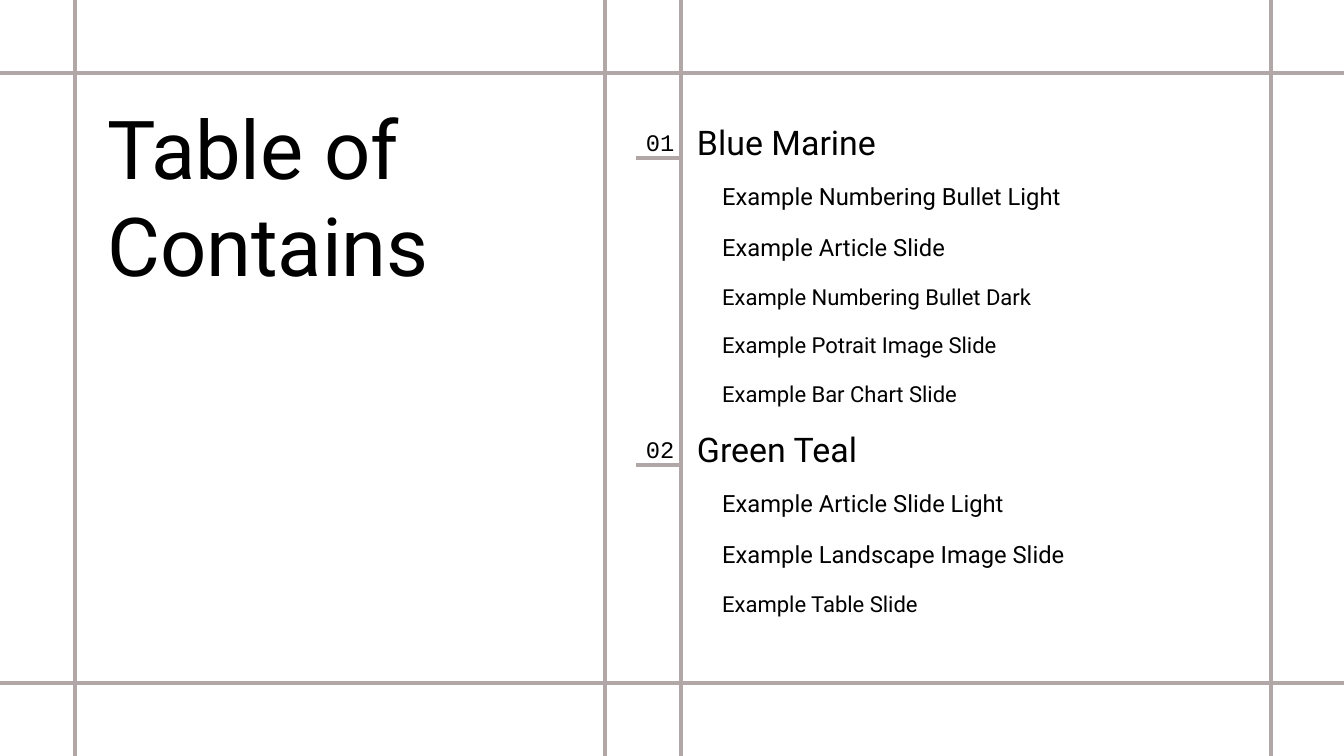
from dataclasses import dataclass

from pptx import Presentation
from pptx.dml.color import RGBColor as RGB
from pptx.enum.shapes import MSO_CONNECTOR as CONN
from pptx.enum.text import MSO_ANCHOR as ANCHOR, MSO_AUTO_SIZE as AUTOSIZE, PP_ALIGN as ALIGN
from pptx.oxml.xmlchemy import OxmlElement
from pptx.util import Pt

SCALE = 7495
WIDTH, HEIGHT = 1344, 756
RULES_X = (75, 1271, 681, 605)
RULES_Y = (73, 683)
SECTIONS = (
    (116, "01", "Blue Marine", (
        "Example Numbering Bullet Light",
        "Example Article Slide",
        "Example Numbering Bullet Dark",
        "Example Potrait Image Slide",
        "Example Bar Chart Slide",
    )),
    (423, "02", "Green Teal", (
        "Example Article Slide Light",
        "Example Landscape Image Slide",
        "Example Table Slide",
    )),
)


@dataclass(frozen=True)
class Theme:
    ink: RGB = RGB(0, 0, 0)
    rule: RGB = RGB(0xB1, 0xA7, 0xA6)
    paper: RGB = RGB(255, 255, 255)
    sans: str = "Roboto"
    mono: str = "Courier New"
    title: int = 48
    heading: int = 20
    item: int = 14
    small_item: int = 13
    item_gap: int = 13
    large_items: int = 2


class Deck:
    def __init__(self, theme):
        self.theme = theme
        self.prs = Presentation()
        self.prs.slide_width = WIDTH * SCALE
        self.prs.slide_height = HEIGHT * SCALE
        self.s = self.prs.slides.add_slide(self.prs.slide_layouts.get_by_name("Two Content"))
        self.s.background.fill.solid()
        self.s.background.fill.fore_color.rgb = theme.paper
        self.bodies = [ph for ph in self.s.placeholders if ph.placeholder_format.idx in (1, 2)]

    def rule(self, x1, y1, x2, y2):
        c = self.s.shapes.add_connector(CONN.STRAIGHT, *(v * SCALE for v in (x1, y1, x2, y2)))
        c.line.color.rgb = self.theme.rule
        c.line.width = 0
        c._element.spPr.append(OxmlElement("a:effectLst"))

    def fill_text(self, sp, box, text, size, font):
        sp.left, sp.top, sp.width, sp.height = (v * SCALE for v in box)
        tf = sp.text_frame
        tf.text = text
        tf.word_wrap = True
        tf.auto_size = AUTOSIZE.NONE
        tf.vertical_anchor = ANCHOR.TOP
        for p in tf.paragraphs:
            p.alignment = ALIGN.LEFT
            p.line_spacing = 1.0
            p.space_before = Pt(0)
            for r in p.runs:
                r.font.name = font
                r.font.size = Pt(size)
                r.font.color.rgb = self.theme.ink
        return tf

    def title(self, box, text):
        self.fill_text(self.s.shapes.title, box, text, self.theme.title, self.theme.sans)

    def label(self, box, text, size, font):
        sp = self.s.shapes.add_textbox(0, 0, 0, 0)
        self.fill_text(sp, box, text, size, font)

    def items(self, sp, box, lines):
        t = self.theme
        tf = self.fill_text(sp, box, "\n".join(lines), t.item, t.sans)
        for i, p in enumerate(tf.paragraphs):
            pPr = p._p.get_or_add_pPr()
            pPr.set("marL", "0")
            pPr.set("indent", "0")
            p.space_before = Pt(t.item_gap if i else 0)
            pPr.append(OxmlElement("a:buNone"))
            if i >= t.large_items:
                p.runs[0].font.size = Pt(t.small_item)

    def section(self, body, top, number, heading, lines):
        t = self.theme
        self.label((634, top + 6, 56, 44), number, t.item, t.mono)
        self.rule(681, top + 42, 636, top + 42)
        self.label((685, top, 249, 60), heading, t.heading, t.sans)
        self.items(body, (710, top + 60, 440, 50 * len(lines)), lines)


def main():
    deck = Deck(Theme())
    for y in RULES_Y:
        deck.rule(0, y, WIDTH, y)
    for x in RULES_X:
        deck.rule(x, 0, x, HEIGHT)
    for body, section in zip(deck.bodies, SECTIONS):
        deck.section(body, *section)
    deck.title((95, 92, 417, 242), "Table of\nContains")
    deck.prs.save("out.pptx")


if __name__ == "__main__":
    main()
